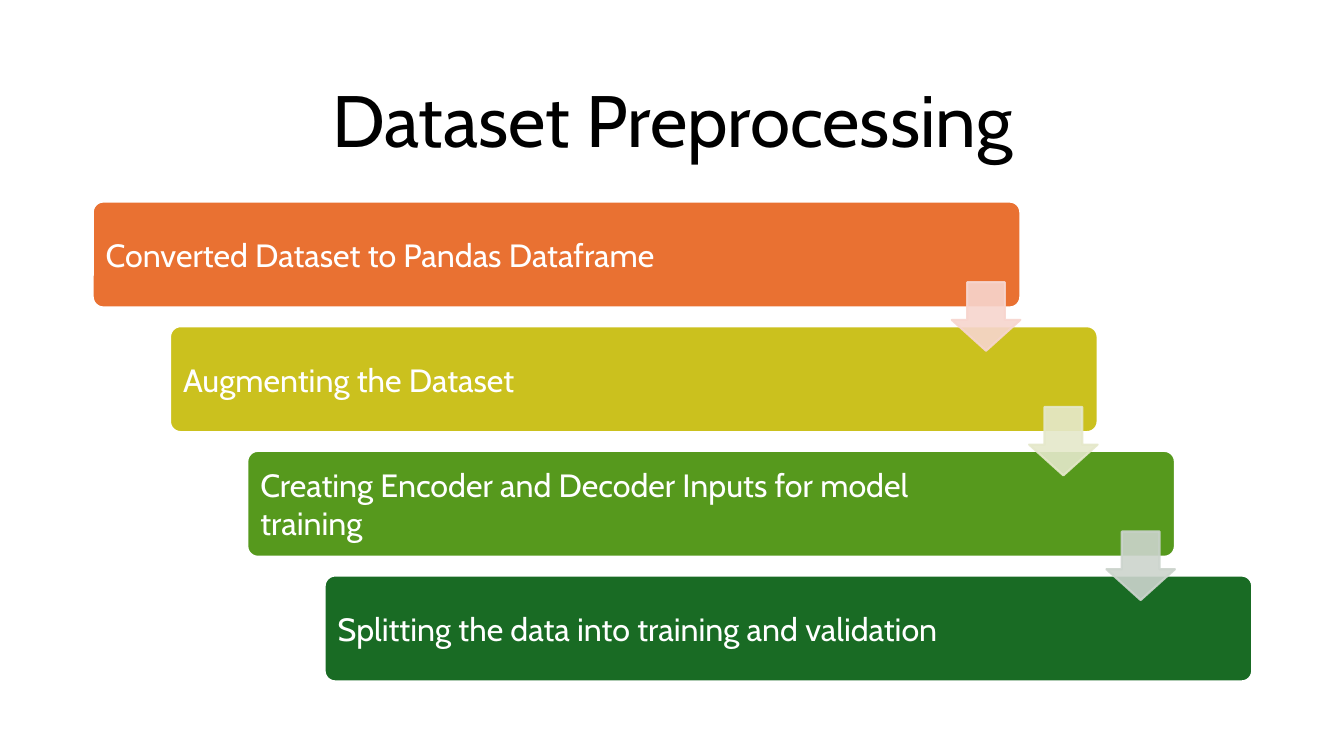
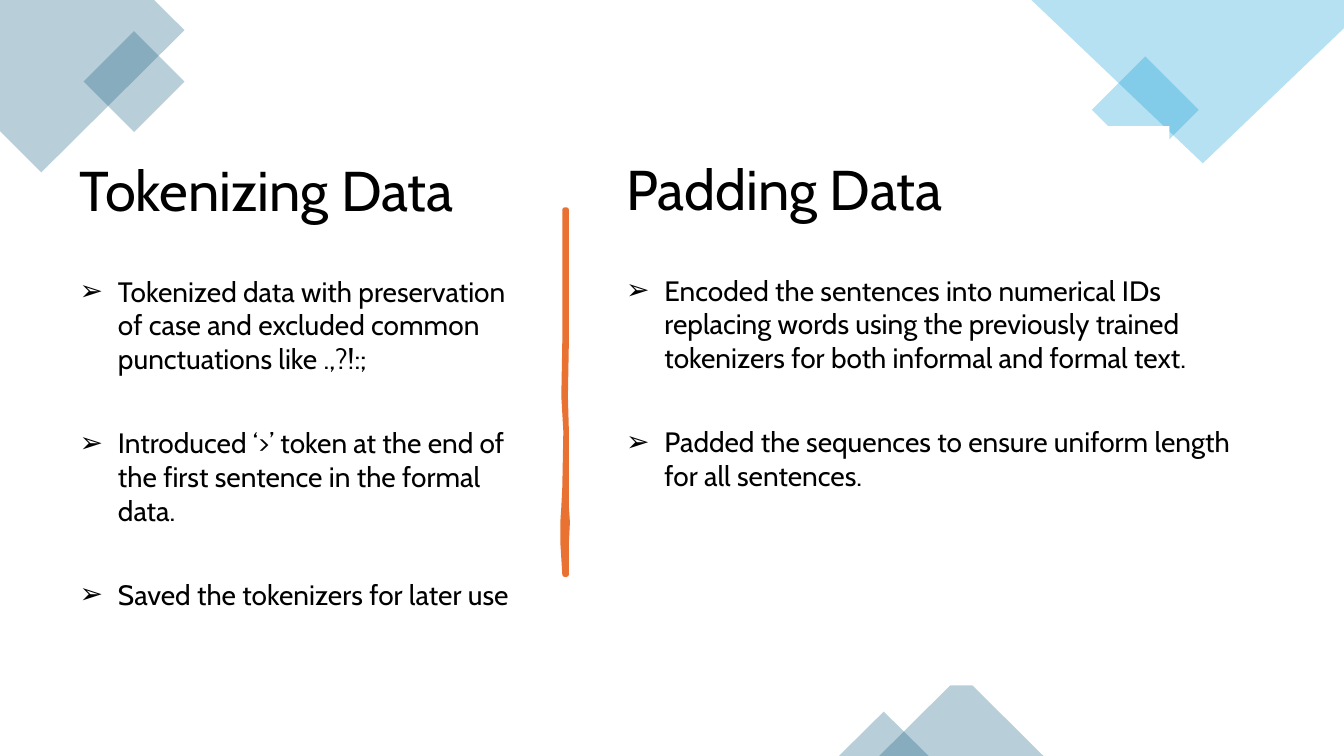
from lxml import etree
from pptx import Presentation
from pptx import util as u
from pptx.dml.color import RGBColor
from pptx.enum import shapes, text
from pptx.oxml import ns

Inches, Pt = u.Inches, u.Pt
FONT = "Cabin"
COLORS = {
    "ink": "000000", "white": "FFFFFF", "orange": "E97132",
    "olive": "CBC11E", "green": "56991D", "forest": "196B24",
    "pink": "F7D5CE", "cream": "E5E8CA", "gray": "CCD4CD",
    "teal": "156082", "sky": "0F9ED5",
}
STEPS = [
    ("Converted Dataset to Pandas Dataframe", "orange"),
    ("Augmenting the Dataset", "olive"),
    ("Creating Encoder and Decoder Inputs for model training", "green"),
    ("Splitting the data into training and validation", "forest"),
]
ARROWS = ["pink", "cream", "gray"]
TOKENIZING = [
    "Tokenized data with preservation of case and excluded common punctuations like .,?!:;",
    "Introduced ‘>’ token at the end of the first sentence in the formal data.",
    "Saved the tokenizers for later use",
]
PADDING = [
    "Encoded the sentences into numerical IDs replacing words using the previously "
    "trained tokenizers for both informal and formal text.",
    "Padded the sequences to ensure uniform length for all sentences.",
]


def rgb(name):
    """Return the palette colour called name."""
    return RGBColor.from_string(COLORS[name])


def set_color(paint, name, percent=100):
    """Make a fill solid, with an opacity in percent."""
    paint.solid()
    paint.fore_color.rgb = rgb(name)
    if percent < 100:
        color = paint.fore_color
        for node in paint_nodes(paint, color):
            etree.SubElement(node, ns.qn("a:alpha"), val=str(percent * 1000))


def paint_nodes(paint, color):
    """Return the colour elements that hold a solid fill."""
    holder = paint._xPr
    return holder.findall(f"{ns.qn('a:solidFill')}/{ns.qn('a:srgbClr')}")


def style_shape(shape, fill, percent=100, line=None, weight=1.5):
    """Give a shape its fill, outline and no shadow."""
    shape.shadow.inherit = False
    set_color(shape.fill, fill, percent)
    if line:
        set_color(shape.line.fill, line, percent)
        shape.line.width = Pt(weight)
    else:
        shape.line.fill.background()
    return shape


def add_preset(page, kind, box, fill, **look):
    """Add a styled preset shape in a box given in inches."""
    shape = page.shapes.add_shape(kind, *map(Inches, box))
    return style_shape(shape, fill, **look)


def add_outline(page, points, fill, **look):
    """Add a closed freeform through points given in inches."""
    builder = page.shapes.build_freeform(
        *map(Inches, points[0]), scale=1.0)
    builder.add_line_segments(
        [tuple(map(Inches, point)) for point in points[1:]], close=True)
    return style_shape(builder.convert_to_shape(), fill, **look)


def place(holder, box, anchor):
    """Move a text holder to a box and set up its frame."""
    holder.left, holder.top, holder.width, holder.height = map(Inches, box)
    frame = holder.text_frame
    frame.word_wrap = True
    frame.auto_size = text.MSO_AUTO_SIZE.NONE
    frame.vertical_anchor = anchor
    return frame


def write(para, words, size, color="ink", align=text.PP_ALIGN.LEFT, spacing=1.0, after=0):
    """Write one run into a paragraph."""
    para.alignment = align
    para.line_spacing = spacing
    para.space_before, para.space_after = Pt(0), Pt(after)
    span = para.add_run()
    span.text = words
    span.font.name, span.font.size, span.font.bold = FONT, Pt(size), False
    span.font.color.rgb = rgb(color)


def set_bullet(para, mark=None, indent=0.0):
    """Set a hanging bullet, or none when no mark is given."""
    props = para._p.get_or_add_pPr()
    props.set("marL", str(Inches(indent)))
    props.set("indent", str(-Inches(indent)))
    if mark:
        etree.SubElement(props, ns.qn("a:buChar"), char=mark)
    else:
        etree.SubElement(props, ns.qn("a:buNone"))


def add_steps(page, left, top, width, height):
    """Draw the staircase of steps and the arrows between them."""
    box_width, box_height, arrow = 9.2, 1.05, 0.68
    gaps = len(STEPS) - 1
    step_x, step_y = (width - box_width) / gaps, (height - box_height) / gaps
    for i, (words, color) in enumerate(STEPS):
        box = (left + i * step_x, top + i * step_y, box_width, box_height)
        shape = add_preset(page, shapes.MSO_SHAPE.ROUNDED_RECTANGLE, box, color, line="white")
        shape.adjustments[0] = 0.1
        frame = place(shape, box, text.MSO_ANCHOR.MIDDLE)
        frame.margin_left, frame.margin_right = Inches(0.1), Inches(1.54)
        write(frame.paragraphs[0], words, 23, "white")
    for i, color in enumerate(ARROWS):
        box = (left + i * step_x + box_width - arrow, top + i * step_y + 0.8, arrow, arrow)
        shape = add_preset(page, shapes.MSO_SHAPE.DOWN_ARROW, box, color, percent=90, line=color)
        shape.adjustments[0], shape.adjustments[1] = 0.55, 0.45


def add_corners(page):
    """Draw the translucent tiles at the page edges and the white panel."""
    diamond, triangle = shapes.MSO_SHAPE.DIAMOND, shapes.MSO_SHAPE.ISOSCELES_TRIANGLE
    add_outline(page, [(1.53, 0), (0, 0), (0, 1.3), (0.41, 1.71), (1.83, 0.3)], "teal", percent=30)
    add_preset(page, diamond, (0.83, 0.31, 1, 1), "teal", percent=30)
    add_preset(page, diamond, (10.83, 0.56, 1.06, 1.06), "sky", percent=30)
    add_outline(page, [(13.33, 0), (10.23, 0), (11.93, 1.62), (13.33, 0.28)], "sky", percent=30)
    add_preset(page, triangle, (8.72, 6.69, 1.63, 0.81), "teal", percent=30)
    add_preset(page, triangle, (8.32, 7.06, 0.89, 0.44), "teal", percent=30)
    add_preset(page, shapes.MSO_SHAPE.RECTANGLE, (1.74, 1.25, 9.86, 5.55), "white")


def add_brush_stroke(page, center, top):
    """Draw the uneven vertical divider downwards from its top."""
    profile = [
        (0, -0.01, 0.01), (0.6, -0.01, 0.01), (1.3, -0.01, 0.01),
        (1.85, -0.02, 0), (2.2, 0, 0.01), (2.75, -0.01, 0.01),
        (2.95, -0.02, 0.01), (3.1, -0.03, 0.02), (3.3, -0.03, 0.01), (3.62, -0.01, 0.01),
    ]
    left_side = [(center + a, top + y) for y, a, b in profile]
    right_side = [(center + b, top + y) for y, a, b in reversed(profile)]
    add_outline(page, left_side + right_side, "orange", line="orange", weight=3.25)


def fill_column(heading, body, words, items, left, top, width):
    """Fill a heading and the bulleted list below it."""
    frame = place(heading, (left, top, width, 0.8), text.MSO_ANCHOR.TOP)
    write(frame.paragraphs[0], words, 40)
    set_bullet(frame.paragraphs[0])
    frame = place(body, (left, top + 1.18, width, 3.89), text.MSO_ANCHOR.TOP)
    for i, item in enumerate(items):
        para = frame.add_paragraph() if i else frame.paragraphs[0]
        write(para, item, 20, after=36.3)
        set_bullet(para, "➢", 0.38)


def build_steps_page(deck):
    """Build the slide with the preprocessing steps."""
    page = deck.slides.add_slide(deck.slide_layouts[5])
    frame = place(page.shapes.title, (0.92, 0.61, 11.5, 1.24), text.MSO_ANCHOR.MIDDLE)
    write(frame.paragraphs[0], "Dataset Preprocessing", 52,
          align=text.PP_ALIGN.CENTER, spacing=0.9)
    add_steps(page, 0.92, 2, 11.5, 4.76)


def build_columns_page(deck):
    """Build the slide with two headed lists."""
    page = deck.slides.add_slide(deck.slide_layouts[4])
    holders = {item.placeholder_format.idx: item for item in page.placeholders}
    unused = holders.pop(1).element
    unused.getparent().remove(unused)
    add_corners(page)
    add_brush_stroke(page, 5.61, 2.08)
    for holder in holders.values():
        holder.element.getparent().append(holder.element)
    fill_column(holders[0], holders[2], "Tokenizing Data", TOKENIZING, 0.69, 1.49, 4.58)
    fill_column(holders[3], holders[4], "Padding Data", PADDING, 6.11, 1.48, 6.47)


def main():
    """Build and save the deck."""
    deck = Presentation()
    deck.slide_width, deck.slide_height = Inches(13.33), Inches(7.5)
    build_steps_page(deck)
    build_columns_page(deck)
    deck.save("out.pptx")


if __name__ == "__main__":
    main()
